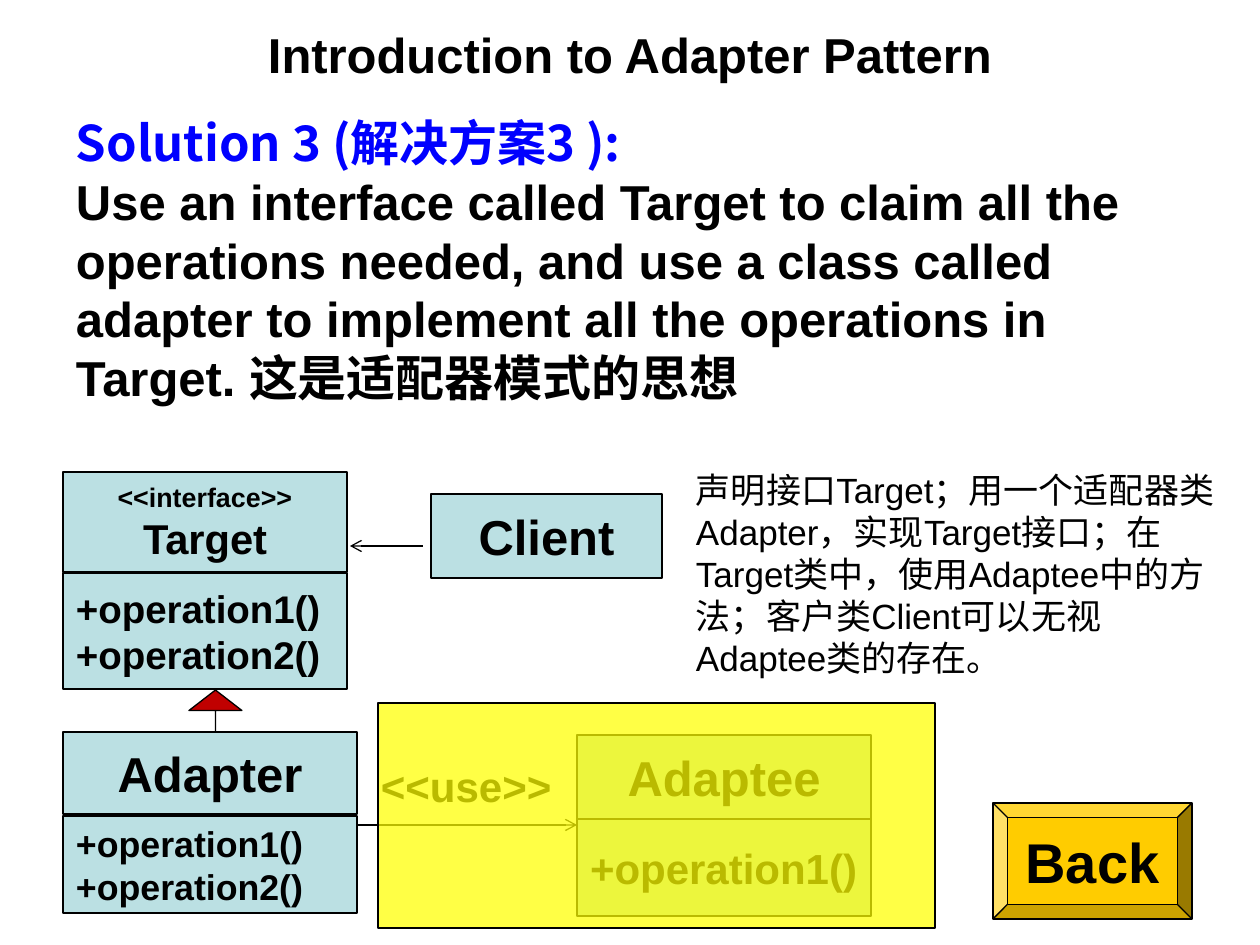
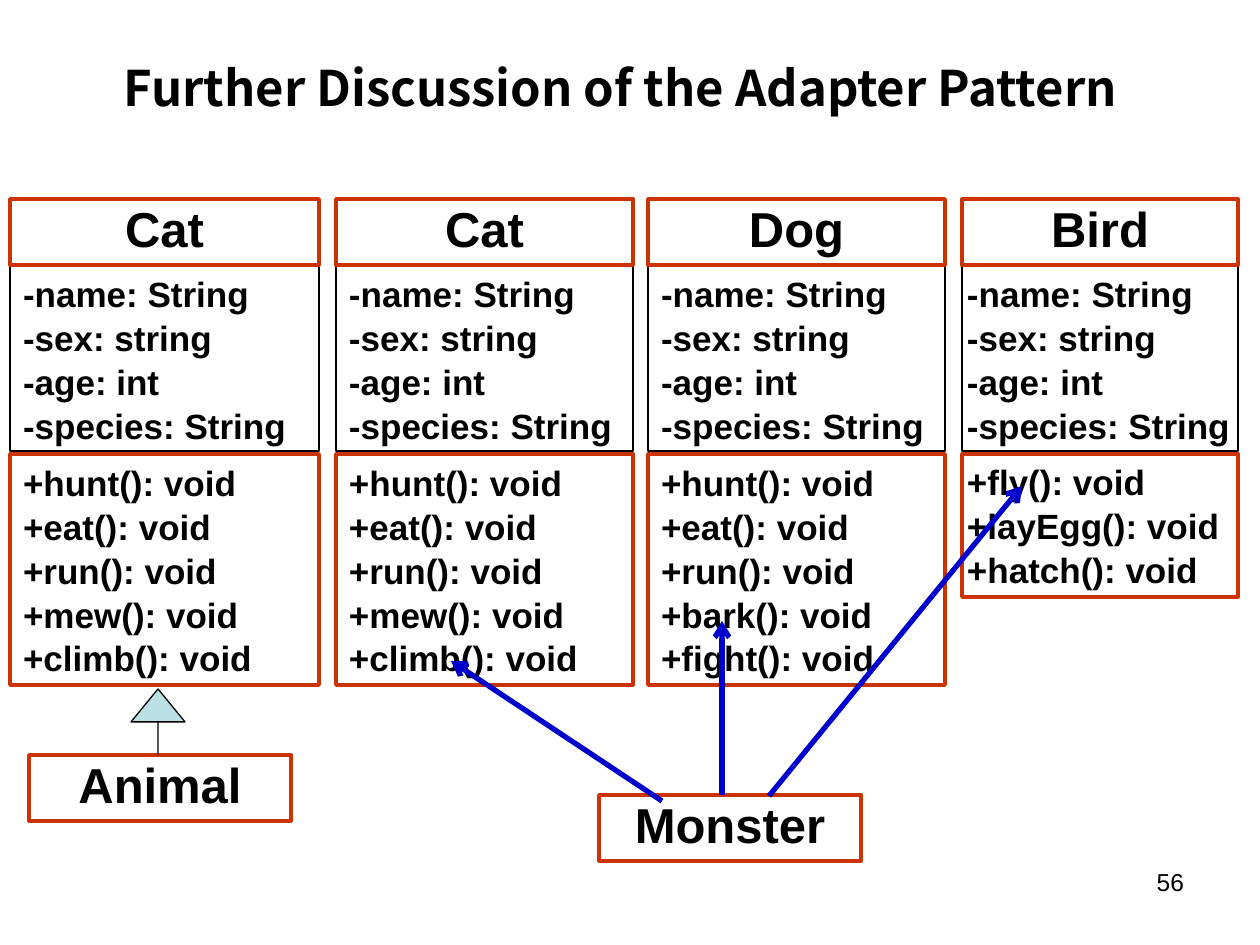
"""Build two slides on the Adapter pattern with UML class diagrams."""
from lxml.etree import SubElement
from pptx import Presentation
from pptx.dml.color import RGBColor
from pptx.enum.shapes import MSO_CONNECTOR, MSO_SHAPE
from pptx.enum.text import MSO_ANCHOR, PP_ALIGN
from pptx.oxml.ns import qn
from pptx.util import Emu, Pt

PX = 914400 / 126
BLACK = RGBColor(0x00, 0x00, 0x00)
WHITE = RGBColor(0xFF, 0xFF, 0xFF)
PALE_TEAL = RGBColor(0xBB, 0xE0, 0xE3)
HEADING_BLUE = RGBColor(0x00, 0x00, 0xFF)
ARROW_BLUE = RGBColor(0x00, 0x00, 0xCC)
RUST = RGBColor(0xCC, 0x33, 0x00)
DARK_RED = RGBColor(0xC0, 0x00, 0x00)
GOLD = RGBColor(0xFF, 0xCC, 0x00)
YELLOW = RGBColor(0xFF, 0xFF, 0x00)
LATIN = "Arial"
CHINESE = "Noto Sans CJK SC"


def add_box(page, bounds, lines=(), size=28, fill=None, outline=BLACK, weight=0.75,
            kind=MSO_SHAPE.RECTANGLE, align=PP_ALIGN.LEFT, anchor=MSO_ANCHOR.MIDDLE,
            spacing=None, inset=13, bold=True):
    """Add a filled shape, or a text box without fill; a line is text or a list of runs."""
    left, top, width, height = [Emu(round(length * PX)) for length in bounds]
    if fill is None:
        box = page.shapes.add_textbox(left, top, width, height)
    else:
        box = page.shapes.add_shape(kind, left, top, width, height)
        box.shadow.inherit = False
        box.fill.solid()
        box.fill.fore_color.rgb = fill
        box.line.color.rgb = outline
        box.line.width = Pt(weight)
    frame = box.text_frame
    frame.word_wrap = True
    frame.vertical_anchor = anchor
    frame.margin_left = frame.margin_right = Emu(round(inset * PX))
    frame.margin_top = frame.margin_bottom = Emu(round(min(inset, 6) * PX))
    for index, line in enumerate(lines):
        para = frame.add_paragraph() if index else frame.paragraphs[0]
        para.alignment = align
        para.line_spacing = spacing
        runs = [(line, LATIN, BLACK, size)] if isinstance(line, str) else line
        for text, font, color, run_size in runs:
            span = para.add_run()
            span.text = text
            span.font.name = font
            span.font.size = Pt(run_size)
            span.font.bold = bold
            span.font.color.rgb = color
            SubElement(span.font._element, qn("a:ea"), typeface=CHINESE)
    return box


def add_arrow(page, points, color=BLACK, weight=0.75):
    """Add a straight line with an open arrowhead at its end."""
    arrow = page.shapes.add_connector(
        MSO_CONNECTOR.STRAIGHT, *[Emu(round(length * PX)) for length in points])
    arrow.line.color.rgb = color
    arrow.line.width = Pt(weight)
    SubElement(arrow.line._get_or_add_ln(), qn("a:tailEnd"), type="arrow")
    SubElement(arrow._element.spPr, qn("a:effectLst"))


deck = Presentation()
deck.slide_width = Emu(round(1260 * PX))
deck.slide_height = Emu(round(945 * PX))
blank = deck.slide_layouts[6]

page = deck.slides.add_slide(blank)
add_box(page, (63, 10, 1134, 88), ["Introduction to Adapter Pattern"], align=PP_ALIGN.CENTER)
solution = [
    [("Solution 3 (解决方案3 ):", CHINESE, HEADING_BLUE, 28)],
    "Use an interface called Target to claim all the",
    "operations needed, and use a class called",
    "adapter to implement all the operations in",
    [("Target. ", LATIN, BLACK, 28), ("这是适配器模式的思想", CHINESE, BLACK, 28)],
]
add_box(page, (63, 107, 1176, 315), solution, anchor=MSO_ANCHOR.TOP, spacing=Pt(33.5))
add_box(page, (993, 803, 199, 116), ["Back"], 32, GOLD, kind=MSO_SHAPE.BEVEL,
        align=PP_ALIGN.CENTER, inset=0)
inherit_arrow = add_box(page, (189, 690, 53, 41), fill=DARK_RED, kind=MSO_SHAPE.UP_ARROW)
inherit_arrow.adjustments[0] = 0
inherit_arrow.adjustments[1] = 0.5

add_box(page, (577, 819, 294, 97), ["+operation1()"], 24, PALE_TEAL)
add_box(page, (577, 735, 294, 84), ["Adaptee"], 28, PALE_TEAL, align=PP_ALIGN.CENTER)
add_arrow(page, (357, 825, 577, 825))
add_box(page, (368, 755, 199, 63), ["<<use>>"], 24, anchor=MSO_ANCHOR.TOP)
highlight = add_box(page, (378, 703, 557, 225), fill=YELLOW)
highlight_color = highlight.fill._xPr.find(qn("a:solidFill"))[0]
SubElement(highlight_color, qn("a:alpha"), val="73000")

note = ("声明接口Target；用一个适配器类Adapter，实现Target接口；在Target类中，"
        "使用Adaptee中的方法；客户类Client可以无视Adaptee类的存在。")
add_box(page, (683, 462, 558, 223), [note], 20, anchor=MSO_ANCHOR.TOP, spacing=Pt(24), bold=False)
add_box(page, (431, 494, 231, 84), ["Client"], 28, PALE_TEAL, align=PP_ALIGN.CENTER)
add_arrow(page, (423, 546, 350, 546))

target = [[("<<interface>>", LATIN, BLACK, 15.3)], [("Target", LATIN, BLACK, 23.8)]]
add_box(page, (63, 472, 284, 100), target, fill=PALE_TEAL, align=PP_ALIGN.CENTER)
operations = ["+operation1()", "+operation2()"]
add_box(page, (63, 573, 284, 116), operations, 22, PALE_TEAL, spacing=Pt(26.4))
add_box(page, (63, 732, 294, 82), ["Adapter"], 28, PALE_TEAL, align=PP_ALIGN.CENTER)
add_box(page, (63, 816, 294, 97), operations, 20.4, PALE_TEAL, spacing=Pt(24.5))

page = deck.slides.add_slide(blank)
add_box(page, (903, 861, 294, 66), ["56"], 14, align=PP_ALIGN.RIGHT,
        anchor=MSO_ANCHOR.TOP, bold=False)
attributes = ["-name: String", "-sex: string", "-age: int", "-species: String"]
shared = ["+hunt(): void", "+eat(): void", "+run(): void"]
cat_methods = shared + ["+mew(): void", "+climb(): void"]
dog_methods = shared + ["+bark(): void", "+fight(): void"]
bird_methods = ["+fly(): void", "+layEgg(): void", "+hatch(): void"]
classes = [
    ("Cat", 10, 309, 13, cat_methods),
    ("Cat", 336, 297, 13, cat_methods),
    ("Dog", 648, 297, 13, dog_methods),
    ("Bird", 962, 276, 5, bird_methods),
]
name_boxes = [("Animal", 29, 755, 262), ("Monster", 599, 795, 262)]
for name, left, width, inset, methods in classes:
    name_boxes.append((name, left, 199, width))
    add_box(page, (left, 454, width, 44 * len(methods) + 11), methods, 20, WHITE, RUST, 2,
            anchor=MSO_ANCHOR.TOP, spacing=Pt(25), inset=inset)
    add_box(page, (left, 266, width, 185), attributes, 20, WHITE, spacing=Pt(25), inset=inset)
for name, left, top, width in name_boxes:
    add_box(page, (left, top, width, 66), [name], 28, WHITE, RUST, 2,
            align=PP_ALIGN.CENTER, anchor=MSO_ANCHOR.TOP, spacing=0.9)

inherit_arrow = add_box(page, (131, 689, 54, 65), fill=PALE_TEAL, kind=MSO_SHAPE.UP_ARROW)
inherit_arrow.adjustments[0] = 0
inherit_arrow.adjustments[1] = 0.61
for points in [(722, 795, 722, 621), (769, 796, 1022, 486), (662, 801, 451, 661)]:
    add_arrow(page, points, ARROW_BLUE, 3)
add_box(page, (53, 38, 1134, 98), ["Further Discussion of the Adapter Pattern"],
        align=PP_ALIGN.CENTER).text_frame.paragraphs[0].runs[0].font.name = CHINESE

deck.save("out.pptx")
